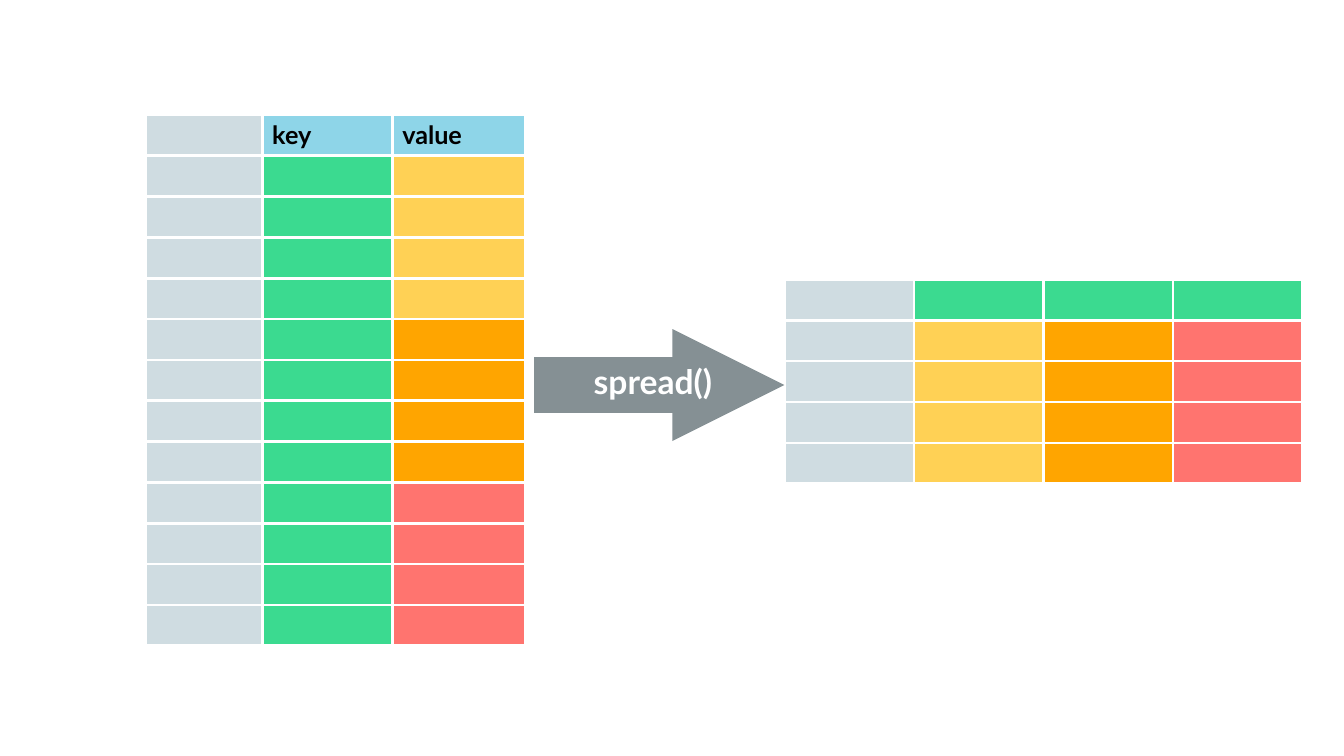
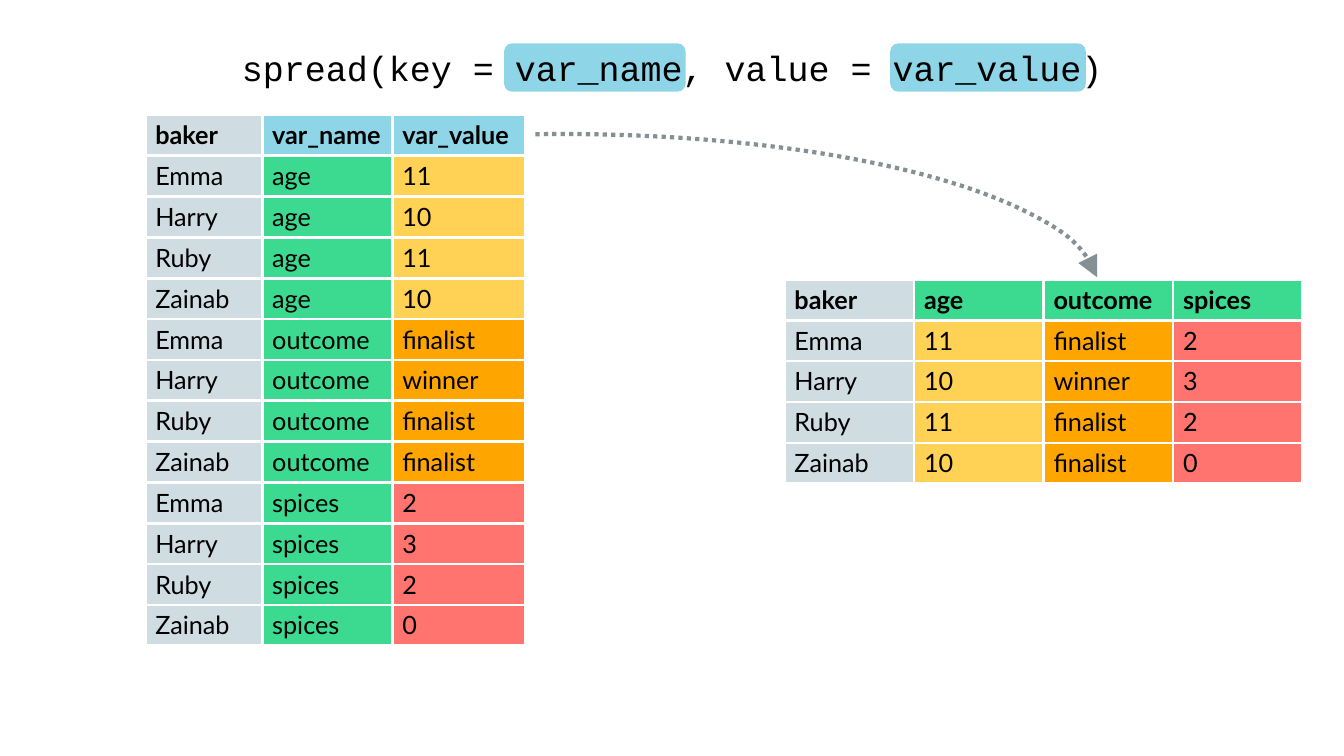
"""Build two slides that show how spread() turns a long table into a wide one."""

from dataclasses import dataclass

from lxml import etree
from pptx import Presentation
from pptx.dml.color import RGBColor
from pptx.enum.dml import MSO_LINE
from pptx.enum.shapes import MSO_CONNECTOR, MSO_SHAPE
from pptx.enum.text import MSO_ANCHOR, MSO_AUTO_SIZE, PP_ALIGN
from pptx.oxml.ns import qn
from pptx.util import Inches, Pt

ROUND_DOT = MSO_LINE.ROUND_DOT
STRAIGHT = MSO_CONNECTOR.STRAIGHT
ARC = MSO_SHAPE.ARC
ROUNDED_RECTANGLE = MSO_SHAPE.ROUNDED_RECTANGLE
TOP = MSO_ANCHOR.TOP
NO_AUTOFIT = MSO_AUTO_SIZE.NONE
CENTER = PP_ALIGN.CENTER

COLORS = {
    "baker": "CFDCE1",
    "argument": "8ED5E8",
    "key": "3BDA90",
    "age": "FFD155",
    "outcome": "FFA500",
    "spices": "FF746F",
    "arrow": "859094",
    "white": "FFFFFF",
    "black": "000000",
}
BODY_FONT = "Lato"
CODE_FONT = "Courier New"
SLIDE_WIDTH = 13.33
ARC_UNITS_PER_DEGREE = 0.6

BAKERS = ("Emma", "Harry", "Ruby", "Zainab")
VARIABLES = {
    "age": ("11", "10", "11", "10"),
    "outcome": ("finalist", "winner", "finalist", "finalist"),
    "spices": ("2", "3", "2", "0"),
}


@dataclass(frozen=True)
class Cell:
    """A table cell: its text and the name of its fill colour."""

    text: str
    color: str


@dataclass(frozen=True)
class Grid:
    """A table's place, column widths and row height in inches."""

    left: float
    top: float
    widths: tuple[float, ...]
    row_height: float


@dataclass(frozen=True)
class Highlight:
    """A rounded band behind one argument of the call."""

    left: float
    width: float


LONG_GRID = Grid(1.44, 1.14, (1.16, 1.29, 1.32), 5.27 / 13)
WIDE_GRID = Grid(7.78, 2.77, (5.14 / 4,) * 4, 2.03 / 5)
HIGHLIGHTS = (Highlight(5, 1.8), Highlight(8.83, 1.94))


def rgb(name: str) -> RGBColor:
    """Look up a named colour."""
    return RGBColor.from_string(COLORS[name])


def style_font(font, name: str, size: float, color: str, bold: bool = False) -> None:
    """Set the typeface, size, colour and weight of a font."""
    font.name = name
    font.size = Pt(size)
    font.bold = bold
    font.color.rgb = rgb(color)


def long_rows(baker: str, key: str, value: str, filled: bool) -> list[list[Cell]]:
    """List the rows of the long table, with or without the data."""
    header = [Cell(baker, "baker"), Cell(key, "argument"), Cell(value, "argument")]
    return [header] + [
        [
            Cell(name if filled else "", "baker"),
            Cell(variable if filled else "", "key"),
            Cell(entry if filled else "", variable),
        ]
        for variable, entries in VARIABLES.items()
        for name, entry in zip(BAKERS, entries)
    ]


def wide_rows(filled: bool) -> list[list[Cell]]:
    """List the rows of the wide table, with or without the data."""
    columns = [[Cell("baker", "baker")] + [Cell(name, "baker") for name in BAKERS]]
    for variable, entries in VARIABLES.items():
        columns.append([Cell(variable, "key")] + [Cell(entry, variable) for entry in entries])
    return [[cell if filled else Cell("", cell.color) for cell in row] for row in zip(*columns)]


def add_borders(cell, color: str, width: float) -> None:
    """Draw the four borders of a table cell."""
    properties = cell._tc.get_or_add_tcPr()
    for side in ("lnL", "lnR", "lnT", "lnB"):
        border = etree.SubElement(properties, qn(f"a:{side}"), w=str(Pt(width)))
        fill = etree.SubElement(border, qn("a:solidFill"))
        etree.SubElement(fill, qn("a:srgbClr"), val=COLORS[color])


def draw_table(slide, grid: Grid, rows: list[list[Cell]]) -> None:
    """Draw a table with coloured cells and a bold header row."""
    table = slide.shapes.add_table(
        len(rows),
        len(grid.widths),
        Inches(grid.left),
        Inches(grid.top),
        Inches(sum(grid.widths)),
        Inches(grid.row_height * len(rows)),
    ).table
    table.first_row = False
    table.horz_banding = False
    for column, width in zip(table.columns, grid.widths):
        column.width = Inches(width)
    for row_index, row in enumerate(rows):
        table.rows[row_index].height = Inches(grid.row_height)
        for column_index, content in enumerate(row):
            cell = table.cell(row_index, column_index)
            add_borders(cell, "white", 2.25)
            cell.fill.solid()
            cell.fill.fore_color.rgb = rgb(content.color)
            cell.text = content.text
            style_font(cell.text_frame.paragraphs[0].font, BODY_FONT, 18, "black", row_index == 0)


def style_arrow(shape, width: float, head_size: str) -> None:
    """Give a line its colour, width and triangular head."""
    shape.line.color.rgb = rgb("arrow")
    shape.line.width = Pt(width)
    line = shape.element.spPr.find(qn("a:ln"))
    etree.SubElement(line, qn("a:tailEnd"), type="triangle", w=head_size, len=head_size)


def draw_spread_arrow(slide) -> None:
    """Draw the thick labelled arrow between the two tables."""
    arrow = slide.shapes.add_connector(
        STRAIGHT, Inches(5.3), Inches(3.82), Inches(7.78), Inches(3.82)
    )
    style_arrow(arrow, 40, "sm")
    etree.SubElement(arrow.element.spPr, qn("a:effectLst"))
    label = slide.shapes.add_textbox(Inches(5.79), Inches(3.53), Inches(1.43), Inches(0.5))
    label.text_frame.word_wrap = False
    label.text_frame.text = "spread()"
    style_font(label.text_frame.paragraphs[0].font, BODY_FONT, 24, "white", True)


def draw_curved_arrow(slide) -> None:
    """Draw the dotted arc from the long table to the wide one."""
    arc = slide.shapes.add_shape(ARC, Inches(0.27), Inches(1.33), Inches(10.63), Inches(3.1))
    arc.adjustments[0] = 259.96 * ARC_UNITS_PER_DEGREE
    arc.adjustments[1] = 358.6 * ARC_UNITS_PER_DEGREE
    arc.shadow.inherit = False
    arc.fill.background()
    arc.line.dash_style = ROUND_DOT
    style_arrow(arc, 3, "lg")


def draw_highlight(slide, highlight: Highlight) -> None:
    """Draw one rounded band behind the title."""
    band = slide.shapes.add_shape(
        ROUNDED_RECTANGLE, Inches(highlight.left), Inches(0.43), Inches(highlight.width), Inches(0.48)
    )
    band.shadow.inherit = False
    band.fill.solid()
    band.fill.fore_color.rgb = rgb("argument")
    band.line.fill.background()


def draw_title(slide, text: str) -> None:
    """Place the code title in front of the highlights."""
    title = slide.shapes.title
    title.left, title.top = Inches(0), Inches(0.41)
    title.width, title.height = Inches(SLIDE_WIDTH), Inches(0.52)
    frame = title.text_frame
    frame.text = text
    frame.word_wrap = True
    frame.auto_size = NO_AUTOFIT
    frame.vertical_anchor = TOP
    paragraph = frame.paragraphs[0]
    paragraph.alignment = CENTER
    style_font(paragraph.font, CODE_FONT, 25, "black")
    slide.shapes.element.append(title.element)


def build_concept_slide(presentation) -> None:
    """Show the reshaping with empty tables."""
    slide = presentation.slides.add_slide(presentation.slide_layouts.get_by_name("Blank"))
    draw_table(slide, LONG_GRID, long_rows("", "key", "value", filled=False))
    draw_table(slide, WIDE_GRID, wide_rows(filled=False))
    draw_spread_arrow(slide)


def build_example_slide(presentation) -> None:
    """Show the reshaping with the bakers' data."""
    slide = presentation.slides.add_slide(presentation.slide_layouts.get_by_name("Title Only"))
    draw_table(slide, LONG_GRID, long_rows("baker", "var_name", "var_value", filled=True))
    draw_table(slide, WIDE_GRID, wide_rows(filled=True))
    draw_curved_arrow(slide)
    for highlight in HIGHLIGHTS:
        draw_highlight(slide, highlight)
    draw_title(slide, "spread(key = var_name, value = var_value)")


def main() -> None:
    """Build and save the presentation."""
    presentation = Presentation()
    presentation.slide_width = Inches(SLIDE_WIDTH)
    presentation.slide_height = Inches(7.5)
    build_concept_slide(presentation)
    build_example_slide(presentation)
    presentation.save("out.pptx")


main()
